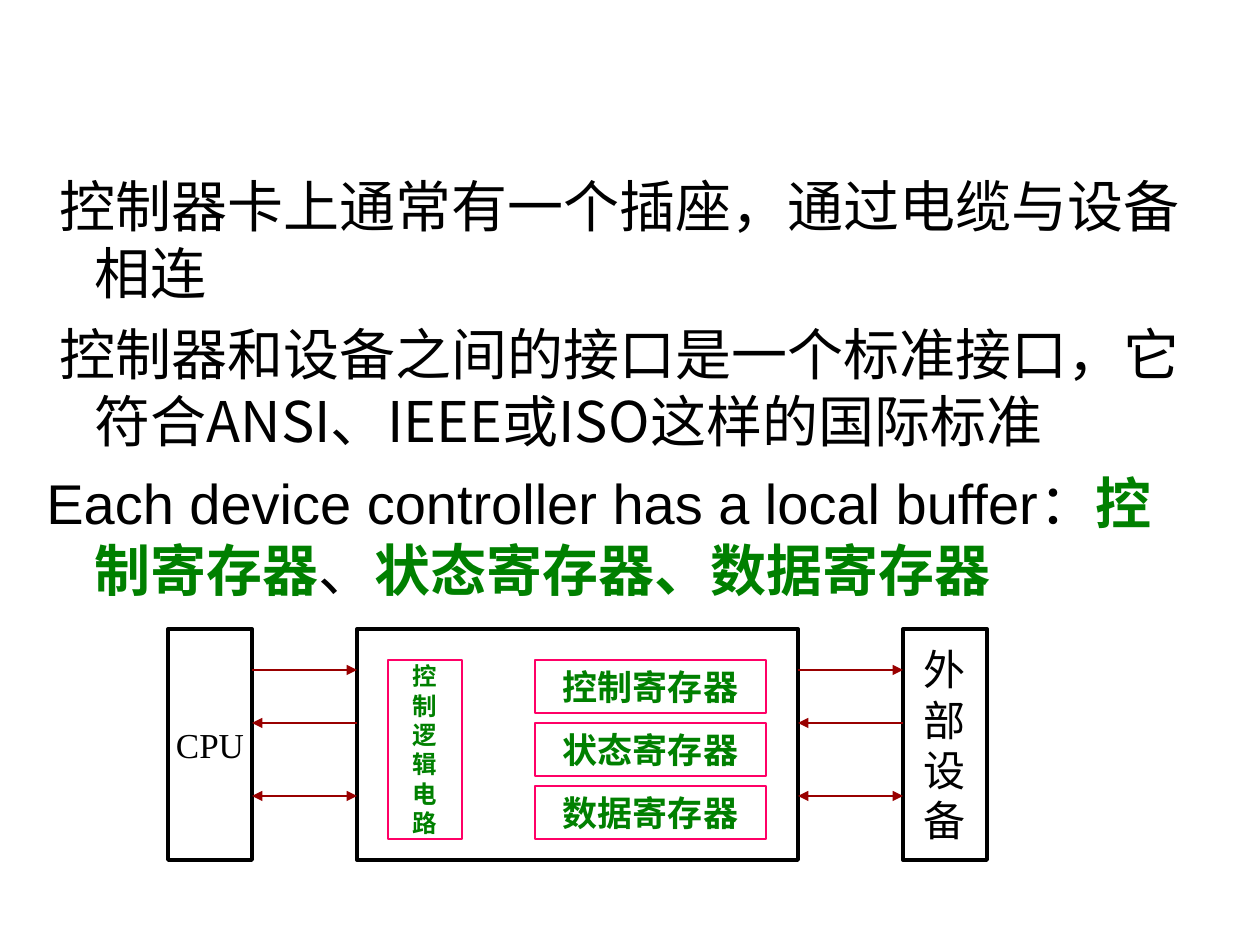
"""Build a slide on device controllers with a block diagram of their registers."""
from dataclasses import dataclass

from lxml.etree import SubElement
from pptx import Presentation
from pptx.dml.color import RGBColor
from pptx.enum.shapes import MSO_CONNECTOR, MSO_SHAPE
from pptx.enum.text import MSO_ANCHOR, PP_ALIGN
from pptx.oxml.ns import qn
from pptx.util import Emu, Pt


@dataclass(frozen=True)
class Theme:
    black: RGBColor = RGBColor(0, 0, 0)
    green: RGBColor = RGBColor(0, 0x80, 0)
    pink: RGBColor = RGBColor(0xFF, 0, 0x66)
    red: RGBColor = RGBColor(0x99, 0, 0)
    chinese: str = "Noto Sans CJK SC"
    sans: str = "Arial"
    serif: str = "Times New Roman"
    body: Pt = Pt(32)
    device: Pt = Pt(24)
    label: Pt = Pt(20)
    logic: Pt = Pt(14)
    thick: Pt = Pt(2.25)
    thin: Pt = Pt(1.5)


theme = Theme()


def px(value):
    return Emu(round(value * 914400 / 126))


def add_box(slide, bounds, text, size, inner=False):
    shape = slide.shapes.add_shape(MSO_SHAPE.RECTANGLE, *map(px, bounds))
    shape.shadow.inherit = False
    shape.fill.background()
    shape.line.color.rgb = theme.pink if inner else theme.black
    shape.line.width = theme.thin if inner else theme.thick
    frame = shape.text_frame
    frame.word_wrap = False
    frame.vertical_anchor = MSO_ANCHOR.MIDDLE
    frame.text = text
    for paragraph in frame.paragraphs:
        paragraph.alignment = PP_ALIGN.CENTER
        paragraph.font.name = theme.serif
        paragraph.font.size = size
        paragraph.font.bold = inner
        paragraph.font.color.rgb = theme.green if inner else theme.black


presentation = Presentation()
presentation.slide_width, presentation.slide_height = px(1260), px(945)
slide = presentation.slides.add_slide(presentation.slide_layouts[6])

body = [
    (-35, [("控制器卡上通常有一个插座，通过电缆与设备相连", theme.chinese, False)]),
    (-35, [("控制器和设备之间的接口是一个标准接口，它符合ANSI、IEEE或ISO这样的国际标准",
            theme.chinese, False)]),
    (-48, [("Each device controller has a local buffer：", theme.sans, False),
           ("控制寄存器", theme.serif, True),
           ("、", theme.serif, False),
           ("状态寄存器、数据寄存器", theme.serif, True)]),
]
frame = slide.shapes.add_textbox(px(34), px(165), px(1160), px(724)).text_frame
frame.word_wrap = True
for index, (indent, runs) in enumerate(body):
    paragraph = frame.add_paragraph() if index else frame.paragraphs[0]
    properties = paragraph._p.get_or_add_pPr()
    properties.set("marL", str(px(48)))
    properties.set("indent", str(px(indent)))
    paragraph.space_before = Pt(8 if index else 0)
    paragraph.font.size = theme.body
    for text, font_name, highlighted in runs:
        run = paragraph.add_run()
        run.text = text
        run.font.name = font_name
        run.font.bold = highlighted
        run.font.color.rgb = theme.green if highlighted else theme.black

add_box(slide, (168, 629, 84, 231), "CPU", theme.label)
add_box(slide, (357, 629, 441, 231), "", theme.label)
add_box(slide, (903, 629, 84, 231), "\n".join("外部设备"), theme.device)
add_box(slide, (388, 660, 74, 179), "\n".join("控制逻辑电路"), theme.logic, inner=True)
for row, register in enumerate(("控制寄存器", "状态寄存器", "数据寄存器")):
    add_box(slide, (535, 660 + 63 * row, 231, 53), register, theme.label, inner=True)

signals = [
    (670, False, ("tailEnd",)),
    (723, True, ("tailEnd",)),
    (796, False, ("headEnd", "tailEnd")),
]
for y, leftward, ends in signals:
    for left, right in ((252, 357), (798, 903)):
        start, finish = (right, left) if leftward else (left, right)
        connector = slide.shapes.add_connector(
            MSO_CONNECTOR.STRAIGHT, px(start), px(y), px(finish), px(y))
        connector.line.color.rgb = theme.red
        connector.line.width = theme.thin
        for end in ends:
            SubElement(connector.line._get_or_add_ln(), qn(f"a:{end}"), type="triangle")
        SubElement(connector._element.spPr, qn("a:effectLst"))

presentation.save("out.pptx")
